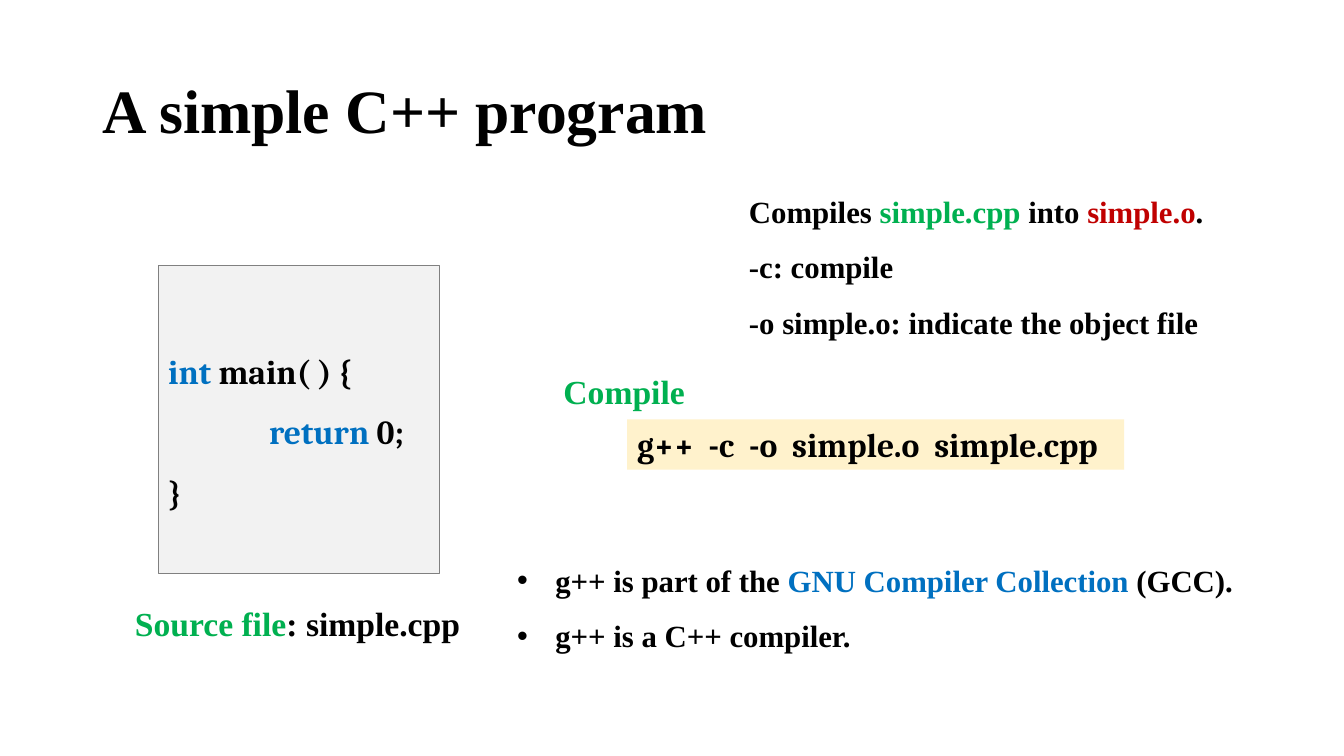
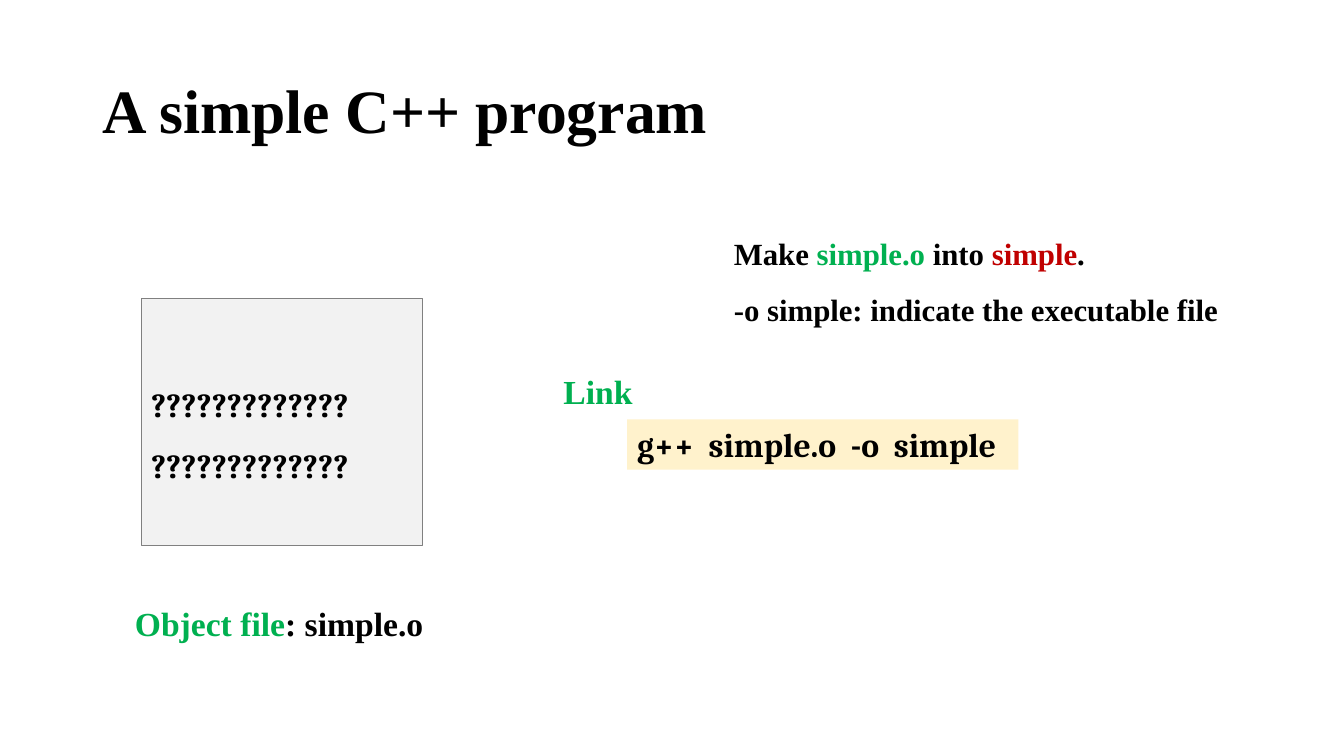
from pptx import Presentation
from pptx.dml.color import RGBColor
from pptx.enum.shapes import MSO_SHAPE
from pptx.enum.text import MSO_ANCHOR, PP_ALIGN
from pptx.util import Pt
from lxml.etree import SubElement
from pptx.oxml.ns import qn

PX = 9144
SERIF, CODE = "Times New Roman", "Cambria"
TITLE = "A simple C++ program"
COLORS = {
    "black": "000000", "blue": "0070C0", "green": "00B050", "red": "C00000",
    "panel": "F2F2F2", "edge": "808080", "command": "FFF2CC",
}


def rgb(name):
    return RGBColor.from_string(COLORS[name])


def add_box(s, at, paras, size, font=SERIF, spacing=1.5, fill=None, edge=None,
            top=5, bullet=False, indents=(), anchor=MSO_ANCHOR.TOP):
    box = [v * PX for v in at]
    if fill:
        sp = s.shapes.add_shape(MSO_SHAPE.RECTANGLE, *box)
        sp.shadow.inherit = False
        sp.fill.solid()
        sp.fill.fore_color.rgb = rgb(fill)
        if edge:
            sp.line.color.rgb = rgb(edge)
            sp.line.width = Pt(0.75)
        else:
            sp.line.fill.background()
    else:
        sp = s.shapes.add_textbox(*box)
    tf = sp.text_frame
    tf.word_wrap = True
    tf.vertical_anchor = anchor
    tf.margin_top = top * PX
    for i, runs in enumerate(paras):
        p = tf.paragraphs[0] if i == 0 else tf.add_paragraph()
        p.alignment = PP_ALIGN.JUSTIFY if spacing > 1 else PP_ALIGN.LEFT
        p.line_spacing = spacing
        pPr = p._p.get_or_add_pPr()
        if bullet:
            pPr.set("marL", str(38 * PX))
            pPr.set("indent", str(-38 * PX))
            SubElement(pPr, qn("a:buFont")).set("typeface", "Arial")
            SubElement(pPr, qn("a:buChar")).set("char", "•")
        elif i in indents:
            pPr.set("marL", str(100 * PX))
        for text, color in runs:
            r = p.add_run()
            r.text = text
            r.font.name = font
            r.font.size = Pt(size)
            r.font.bold = True
            r.font.color.rgb = rgb(color)


slides = [
    {
        "code_at": (157, 263, 279, 306),
        "code": [
            [("int", "blue"), (" main( ) {", "black")],
            [("return", "blue"), (" 0;", "black")],
            [("}", "black")],
        ],
        "indents": (1,),
        "command": "g++  -c  -o  simple.o  simple.cpp",
        "command_width": 493,
        "stage": "Compile",
        "options_at": (733, 168, 508, 170),
        "options": [
            [("Compiles ", "black"), ("simple.cpp", "green"), (" into ", "black"),
             ("simple.o", "red"), (".", "black")],
            [("-c: compile", "black")],
            [("-o simple.o: indicate the object file", "black")],
        ],
        "notes": [
            [("g++ is part of the ", "black"), ("GNU Compiler Collection", "blue"),
             (" (GCC).", "black")],
            [("g++ is a C++ compiler.", "black")],
        ],
        "caption": [("Source file", "green"), (": simple.cpp", "black")],
    },
    {
        "code_at": (140, 296, 279, 245),
        "code": [[("?????????????", "black")]] * 2,
        "indents": (),
        "command": "g++  simple.o  -o  simple",
        "command_width": 388,
        "stage": "Link",
        "options_at": (718, 210, 508, 115),
        "options": [
            [("Make ", "black"), ("simple.o", "green"), (" into ", "black"),
             ("simple", "red"), (".", "black")],
            [("-o simple: indicate the executable file", "black")],
        ],
        "notes": [],
        "caption": [("Object file", "green"), (": simple.o", "black")],
    },
]

prs = Presentation()
prs.slide_width = 1333 * PX
prs.slide_height = 750 * PX

for d in slides:
    s = prs.slides.add_slide(prs.slide_layouts[6])
    add_box(s, (92, 40, 1150, 145), [[(TITLE, "black")]], 44, spacing=0.9,
            anchor=MSO_ANCHOR.MIDDLE)
    add_box(s, d["code_at"], d["code"], 24, CODE, fill="panel", edge="edge",
            top=65, indents=d["indents"])
    add_box(s, (622, 416, d["command_width"], 50), [[(d["command"], "black")]],
            24, CODE, spacing=1, fill="command")
    add_box(s, (549, 363, 147, 50), [[(d["stage"], "green")]], 24, spacing=1)
    if d["notes"]:
        add_box(s, (503, 534, 763, 115), d["notes"], 22, bullet=True)
    add_box(s, d["options_at"], d["options"], 22)
    add_box(s, (124, 573, 356, 63), [d["caption"]], 24)

prs.save("out.pptx")
